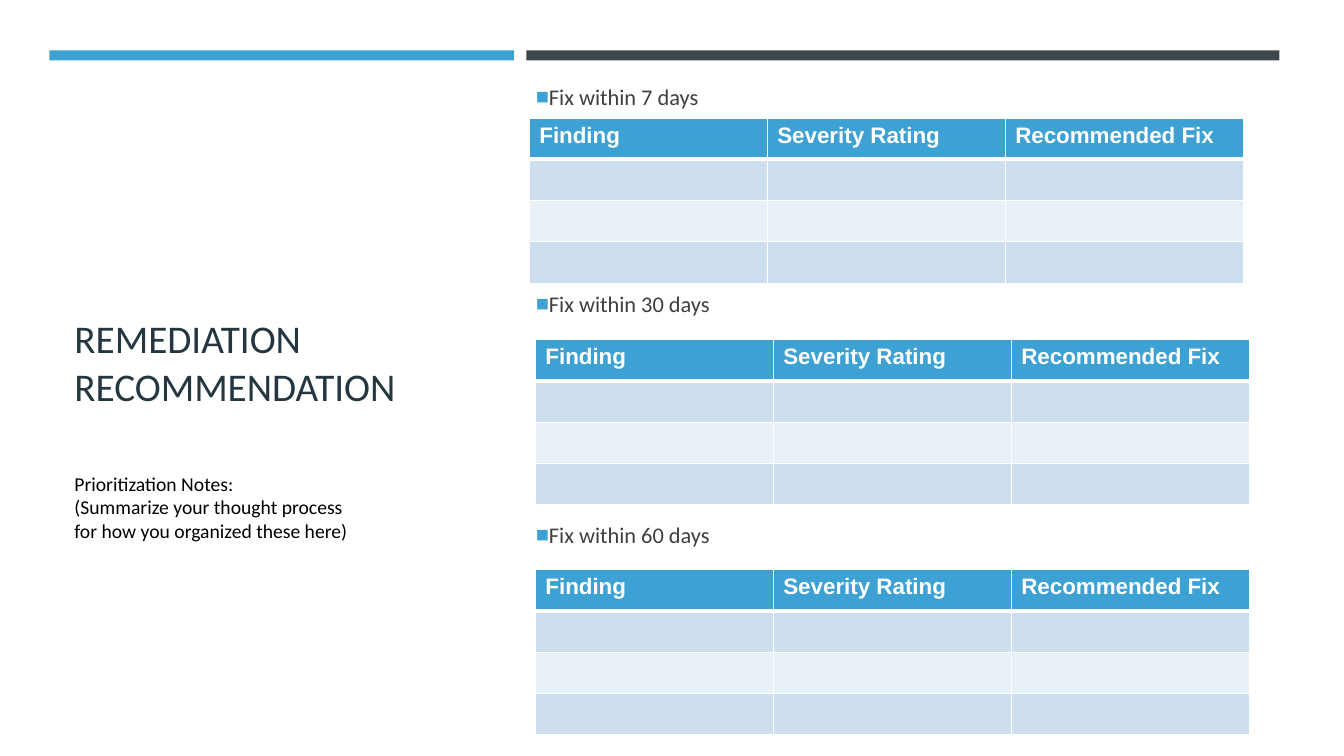
import pptx
import pptx.util
import pptx.dml.color
import pptx.enum.shapes
import pptx.enum.text
import pptx.oxml
import pptx.oxml.ns
from lxml import etree

Inches = pptx.util.Inches
Pt = pptx.util.Pt
RGBColor = pptx.dml.color.RGBColor
ANCHOR = pptx.enum.text.MSO_ANCHOR

# Content
TITLE = "REMEDIATION RECOMMENDATION"
NOTES = [
    "Prioritization Notes:",
    "(Summarize your thought process for how you organized these here)",
]
HEADINGS = ["Finding", "Severity Rating", "Recommended Fix"]
EMPTY_ROWS = 3
# heading text, heading top, table left, table top
DEADLINES = [
    ("Fix within 7 days", 0.77, 5.25, 1.17),
    ("Fix within 30 days", 2.83, 5.31, 3.37),
    ("Fix within 60 days", 5.12, 5.31, 5.65),
]
COLUMN_WIDTH, ROW_HEIGHT = 2.36, 0.41

BLUE = RGBColor(0x3D, 0xA2, 0xD3)
SLATE = RGBColor(0x3C, 0x47, 0x4C)
NAVY = RGBColor(0x24, 0x37, 0x41)
GREY = RGBColor(0x3F, 0x3F, 0x3F)
BLACK = RGBColor(0, 0, 0)
WHITE = RGBColor(0xFF, 0xFF, 0xFF)
BAND_DARK = RGBColor(0xCD, 0xDF, 0xEF)
BAND_LIGHT = RGBColor(0xE8, 0xF0, 0xF7)

BARS = [(0.49, 4.61, BLUE), (5.22, 7.47, SLATE)]  # left, width, colour


def style(para, size, color, font="Calibri", bold=False):
    para.font.size = Pt(size)
    para.font.color.rgb = color
    para.font.name = font
    para.font.bold = bold


def add_text(page, place, lines, size, color, anchor=ANCHOR.MIDDLE, inset=0.05):
    box = page.shapes.add_textbox(*map(Inches, place))
    frame = box.text_frame
    frame.word_wrap = True
    frame.vertical_anchor = anchor
    frame.margin_top = frame.margin_bottom = Inches(inset)
    frame.text = "\n".join(lines)
    for para in frame.paragraphs:
        style(para, size, color)
    return box


def add_bullet(para):
    props = para._p.get_or_add_pPr()
    props.set("marL", "0")
    props.set("indent", str(-Inches(0.1)))
    bullet = pptx.oxml.parse_xml(
        f'<a:b {pptx.oxml.ns.nsdecls("a")}>'
        f'<a:buClr><a:srgbClr val="{BLUE}"/></a:buClr>'
        '<a:buSzPct val="92000"/><a:buFont typeface="Arial"/>'
        '<a:buChar char="◼"/></a:b>'
    )
    for position, part in enumerate(list(bullet)):
        props.insert(position, part)


def set_borders(cell, bottom):
    props = cell._tc.get_or_add_tcPr()
    widths = {"lnL": 1, "lnR": 1, "lnT": 1, "lnB": bottom}
    for position, (side, width) in enumerate(widths.items()):
        line = etree.Element(pptx.oxml.ns.qn(f"a:{side}"), w=str(Pt(width)))
        fill = etree.SubElement(line, pptx.oxml.ns.qn("a:solidFill"))
        etree.SubElement(fill, pptx.oxml.ns.qn("a:srgbClr"), val=str(WHITE))
        props.insert(position, line)


def add_findings_table(page, left, top):
    rows, columns = EMPTY_ROWS + 1, len(HEADINGS)
    table = page.shapes.add_table(
        rows, columns, Inches(left), Inches(top),
        Inches(COLUMN_WIDTH * columns), Inches(ROW_HEIGHT * rows),
    ).table
    for column in table.columns:
        column.width = Inches(COLUMN_WIDTH)
    for index, row in enumerate(table.rows):
        row.height = Inches(ROW_HEIGHT)
        band = BAND_DARK if index % 2 else BAND_LIGHT
        for cell, heading in zip(row.cells, HEADINGS):
            cell.fill.solid()
            cell.fill.fore_color.rgb = band if index else BLUE
            if index == 0:
                cell.text = heading
                style(cell.text_frame.paragraphs[0], 16, WHITE, "Arial", True)
            set_borders(cell, 1 if index else 3)


def main():
    deck = pptx.Presentation()
    deck.slide_width, deck.slide_height = Inches(13.33), Inches(7.5)
    page = deck.slides.add_slide(deck.slide_layouts[6])
    page.background.fill.solid()
    page.background.fill.fore_color.rgb = WHITE

    # Title and top bars
    add_text(page, (0.64, 0.77, 4.46, 5.64), [TITLE], 28, NAVY)
    for left, width, color in BARS:
        bar = page.shapes.add_shape(
            pptx.enum.shapes.MSO_SHAPE.RECTANGLE,
            Inches(left), Inches(0.5), Inches(width), Inches(0.1),
        )
        bar.shadow.inherit = False
        bar.fill.solid()
        bar.fill.fore_color.rgb = color
        bar.line.fill.background()

    # One heading and table per deadline
    for heading, heading_top, table_left, table_top in DEADLINES:
        box = add_text(page, (5.22, heading_top, 7.09, 0.37), [heading], 16, GREY)
        add_bullet(box.text_frame.paragraphs[0])
        add_findings_table(page, table_left, table_top)

    # Prioritization notes
    add_text(page, (0.64, 4.58, 2.94, 1.29), NOTES, 14, BLACK, ANCHOR.TOP, 0.1)

    deck.save("out.pptx")


if __name__ == "__main__":
    main()
